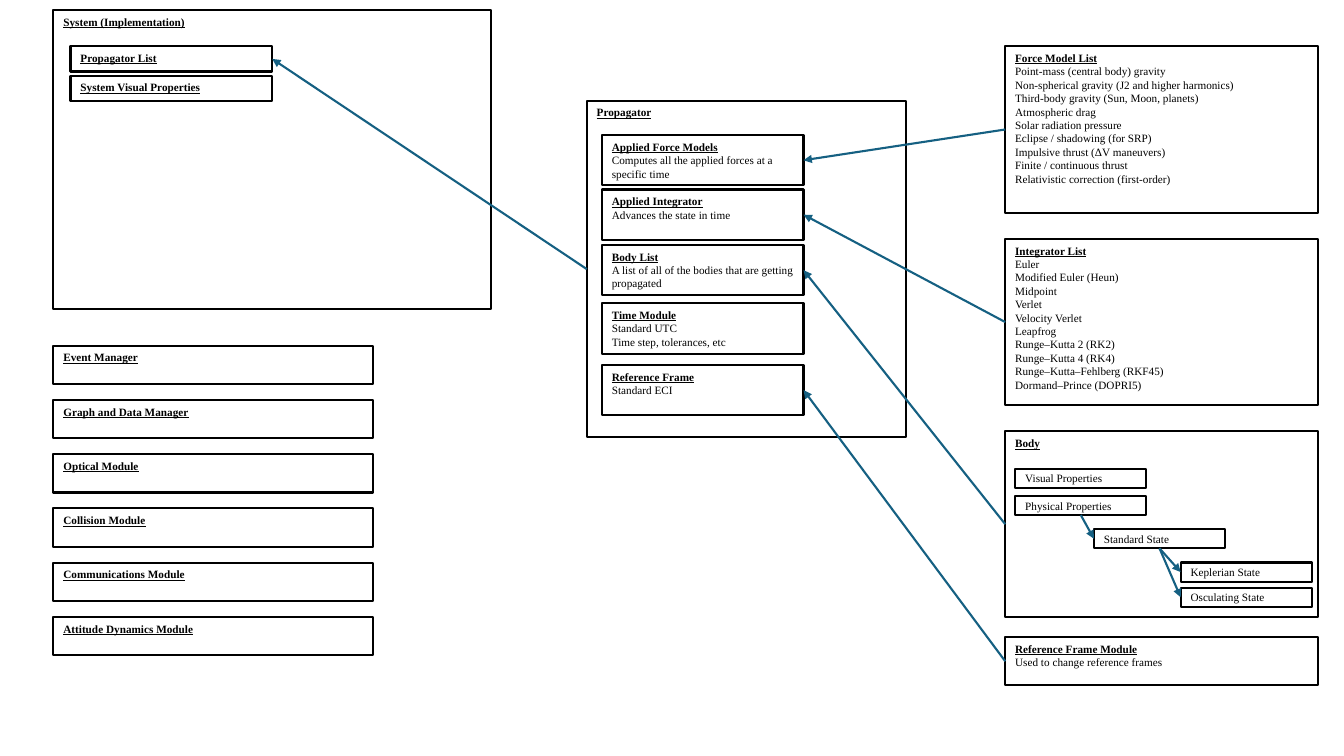
from lxml import etree
from pptx import Presentation
from pptx.dml import color
from pptx.enum import shapes, text
from pptx.oxml import ns
from pptx.util import Inches, Pt

BLACK = "000000"
TEAL = "156082"
LEFT_SIDE, BOTTOM_SIDE, RIGHT_SIDE = 1, 2, 3

FORCE_MODELS = [
    "Point-mass (central body) gravity",
    "Non-spherical gravity (J2 and higher harmonics)",
    "Third-body gravity (Sun, Moon, planets)",
    "Atmospheric drag",
    "Solar radiation pressure",
    "Eclipse / shadowing (for SRP)",
    "Impulsive thrust (ΔV maneuvers)",
    "Finite / continuous thrust",
    "Relativistic correction (first-order)",
]
INTEGRATORS = [
    "Euler",
    "Modified Euler (Heun)",
    "Midpoint",
    "Verlet",
    "Velocity Verlet",
    "Leapfrog",
    "Runge–Kutta 2 (RK2)",
    "Runge–Kutta 4 (RK4)",
    "Runge–Kutta–Fehlberg (RKF45)",
    "Dormand–Prince (DOPRI5)",
]
MANAGERS = [
    "Event Manager",
    "Graph and Data Manager",
    "Optical Module",
    "Collision Module",
    "Communications Module",
    "Attitude Dynamics Module",
]
PROPAGATOR_PARTS = [
    (1.34, "Applied Force Models", ["Computes all the applied forces at a specific time"]),
    (1.88, "Applied Integrator", ["Advances the state in time"]),
    (2.43, "Body List", ["A list of all of the bodies that are getting propagated"]),
    (3.01, "Time Module", ["Standard UTC", "Time step, tolerances, etc"]),
    (3.62, "Reference Frame", ["Standard ECI"]),
]
BODY_PARTS = [
    (10.07, 4.65, "Visual Properties"),
    (10.07, 4.92, "Physical Properties"),
    (10.85, 5.25, "Standard State"),
    (11.71, 5.58, "Keplerian State"),
    (11.71, 5.83, "Osculating State"),
]


def rgb(value):
    return color.RGBColor.from_string(value)


def add_line(paragraph, words, heading):
    paragraph.alignment = text.PP_ALIGN.LEFT
    run = paragraph.add_run()
    run.text = words
    run.font.name = "Times New Roman"
    run.font.size = Pt(8)
    run.font.color.rgb = rgb(BLACK)
    run.font.bold = heading
    run.font.underline = heading


def add_box(slide, left, top, width, height, heading=None, lines=()):
    shape = slide.shapes.add_shape(
        shapes.MSO_SHAPE.RECTANGLE,
        Inches(left), Inches(top), Inches(width), Inches(height),
    )
    shape.shadow.inherit = False
    shape.fill.background()
    shape.line.color.rgb = rgb(BLACK)
    shape.line.width = Pt(1.5)
    frame = shape.text_frame
    frame.word_wrap = True
    frame.vertical_anchor = text.MSO_ANCHOR.TOP if heading else text.MSO_ANCHOR.MIDDLE
    entries = [(heading, True)] if heading else []
    entries += [(line, False) for line in lines]
    for index, (words, is_heading) in enumerate(entries):
        paragraph = frame.add_paragraph() if index else frame.paragraphs[0]
        add_line(paragraph, words, is_heading)
    return shape


def add_arrow(slide, source, target, source_side=LEFT_SIDE, target_side=RIGHT_SIDE):
    connector = slide.shapes.add_connector(shapes.MSO_CONNECTOR.STRAIGHT, 0, 0, 0, 0)
    connector.begin_connect(source, source_side)
    connector.end_connect(target, target_side)
    connector.line.color.rgb = rgb(TEAL)
    connector.line.width = Pt(1.5)
    line = connector.line._get_or_add_ln()
    etree.SubElement(line, ns.qn("a:tailEnd"), type="triangle")
    etree.SubElement(connector._element.spPr, ns.qn("a:effectLst"))


def add_system(slide):
    add_box(slide, 0.53, 0.1, 4.34, 2.97, "System (Implementation)")
    propagator_list = add_box(slide, 0.7, 0.46, 2, 0.25, "Propagator List")
    add_box(slide, 0.7, 0.75, 2, 0.25, "System Visual Properties")
    for index, manager in enumerate(MANAGERS):
        add_box(slide, 0.53, 3.43 + 0.538 * index, 3.17, 0.38, manager)
    return propagator_list


def add_propagator(slide):
    propagator = add_box(slide, 5.82, 1, 3.17, 3.34, "Propagator")
    parts = {
        heading: add_box(slide, 5.97, top, 2, 0.5, heading, lines)
        for top, heading, lines in PROPAGATOR_PARTS
    }
    return propagator, parts


def add_body(slide):
    body = add_box(slide, 9.97, 4.28, 3.1, 1.84, "Body")
    parts = {
        name: add_box(slide, left, top, 1.3, 0.19, lines=[name])
        for left, top, name in BODY_PARTS
    }
    for source, target in [
        ("Physical Properties", "Standard State"),
        ("Standard State", "Keplerian State"),
        ("Standard State", "Osculating State"),
    ]:
        add_arrow(slide, parts[source], parts[target], BOTTOM_SIDE, LEFT_SIDE)
    return body


def main():
    presentation = Presentation()
    presentation.slide_width = Inches(13.33)
    presentation.slide_height = Inches(7.5)
    slide = presentation.slides.add_slide(presentation.slide_layouts[6])

    propagator_list = add_system(slide)
    propagator, parts = add_propagator(slide)
    force_models = add_box(slide, 9.97, 0.46, 3.1, 1.65, "Force Model List", FORCE_MODELS)
    integrators = add_box(slide, 9.97, 2.37, 3.1, 1.65, "Integrator List", INTEGRATORS)
    body = add_body(slide)
    reference_frames = add_box(
        slide, 9.97, 6.32, 3.1, 0.48,
        "Reference Frame Module", ["Used to change reference frames"],
    )

    add_arrow(slide, propagator, propagator_list)
    add_arrow(slide, force_models, parts["Applied Force Models"])
    add_arrow(slide, integrators, parts["Applied Integrator"])
    add_arrow(slide, body, parts["Body List"])
    add_arrow(slide, reference_frames, parts["Reference Frame"])

    presentation.save("out.pptx")


if __name__ == "__main__":
    main()
